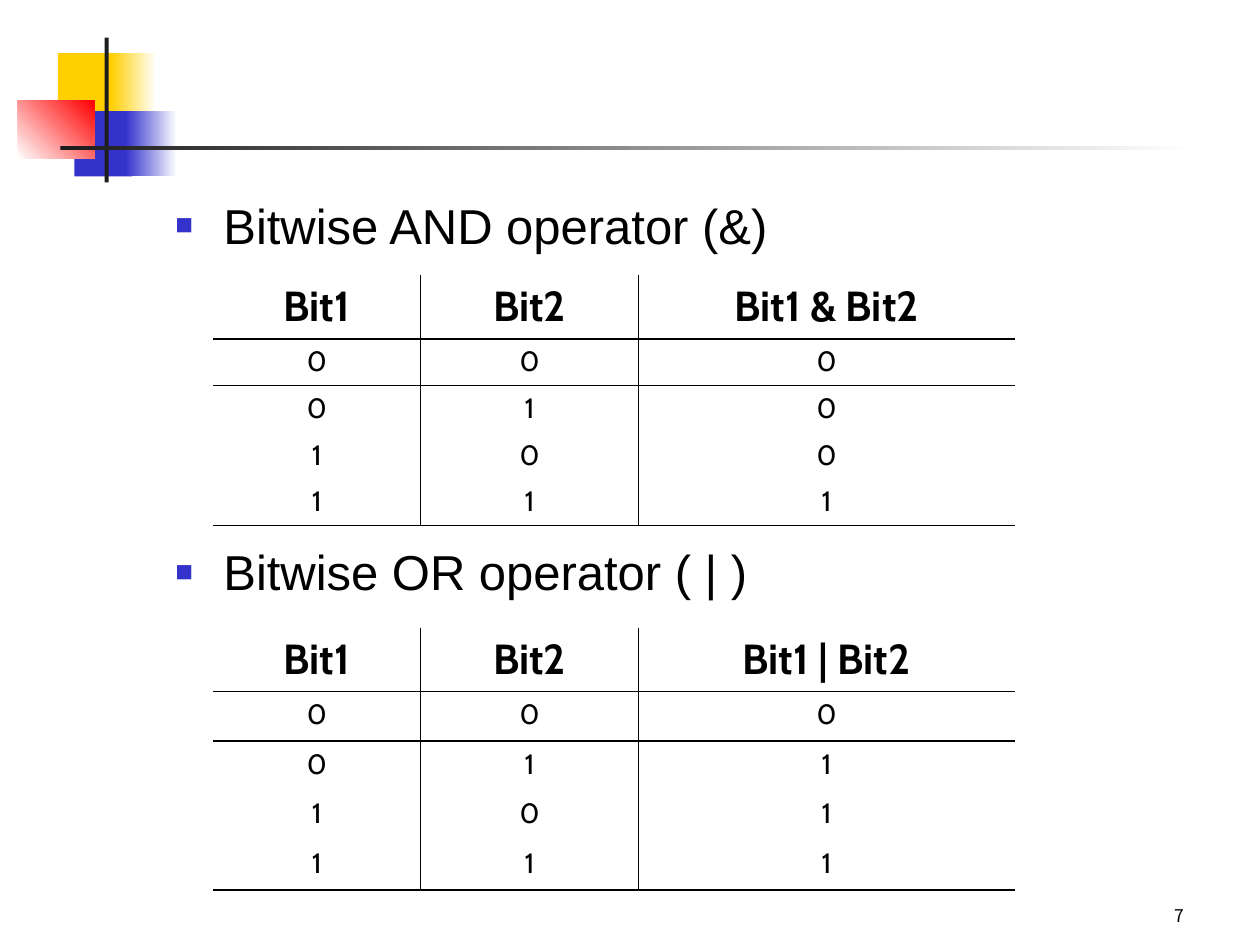
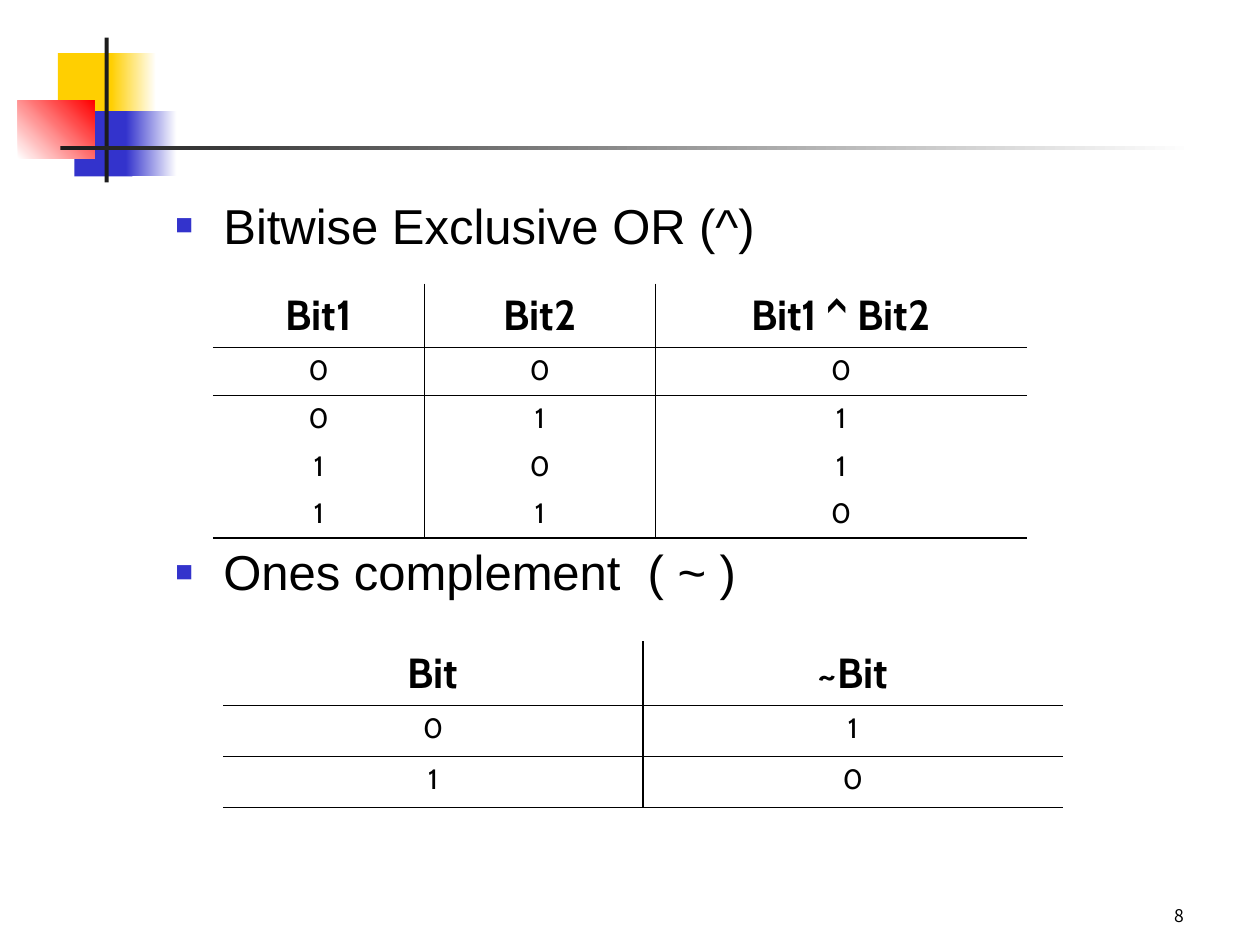
from dataclasses import dataclass
from itertools import product

from lxml import etree
from pptx import Presentation
from pptx.dml.color import RGBColor
from pptx.enum.shapes import MSO_SHAPE
from pptx.enum.text import MSO_ANCHOR, MSO_AUTO_SIZE, PP_ALIGN
from pptx.oxml.ns import qn
from pptx.util import Cm, Pt

RECTANGLE = MSO_SHAPE.RECTANGLE
TOP, BOTTOM = MSO_ANCHOR.TOP, MSO_ANCHOR.BOTTOM
CENTER, RIGHT = PP_ALIGN.CENTER, PP_ALIGN.RIGHT
NO_AUTOFIT = MSO_AUTO_SIZE.NONE
CONTENT_LAYOUT = 1
PLAIN_TABLE_STYLE = "{2D5ABB26-0587-4C30-8999-92F81FD0307C}"


@dataclass(frozen=True)
class Theme:
    ink: str = "000000"
    paper: str = "FFFFFF"
    yellow: str = "FFCF01"
    blue: str = "3333CC"
    red: str = "FF0000"
    bar: str = "1C1C1C"
    heading_font: str = "Arial"
    table_font: str = "Cabin"
    number_font: str = "Noto Sans CJK KR"
    heading_size: int = 28
    header_size: int = 24
    bit_size: int = 16
    number_size: int = 10
    border_width: int = 1


THEME = Theme()

# Corner motif: box in cm, start colour, end colour of a fade, fade angle
MOTIF = [
    ((1.17, 1.07, 1.22, 1.32), THEME.yellow, None, 0),
    ((2.24, 1.07, 0.91, 1.32), THEME.yellow, THEME.paper, 0),
    ((1.5, 2.24, 1.17, 1.32), THEME.blue, None, 0),
    ((2.54, 2.24, 1.02, 1.32), THEME.blue, THEME.paper, 0),
    ((0.36, 2.03, 1.55, 1.17), THEME.paper, THEME.red, 45),
    ((2.11, 0.76, 0.08, 2.92), THEME.bar, None, 0),
    ((1.22, 2.95, 22.86, 0.08), THEME.bar, THEME.paper, 0),
]
HEADINGS_BOX = (3.28, 3.81, 21.59, 13.79)
NUMBER_BOX = (18.85, 17.93, 5.28, 0.86)
HEADING_INDENT = 0.97
HEADING_GAP = 164.4
HEADER_HEIGHT = 1.29


def truth_rows(operation, inputs=2):
    """Every combination of input bits, followed by the result."""
    return [(*bits, operation(*bits)) for bits in product((0, 1), repeat=inputs)]


def assign(target, values):
    for attribute, value in values.items():
        setattr(target, attribute, value)


def add_xml(parent, tag, **attributes):
    return etree.SubElement(parent, qn(tag), attributes)


class Deck:
    def __init__(self, theme):
        self.theme = theme
        self.prs = Presentation()
        assign(self.prs, {"slide_width": Cm(25.4), "slide_height": Cm(19.05)})
        self.slide = None

    def new_slide(self, number):
        self.slide = self.prs.slides.add_slide(self.prs.slide_layouts[CONTENT_LAYOUT])
        unused_title = self.slide.shapes.title.element
        unused_title.getparent().remove(unused_title)
        for box, start, end, angle in MOTIF:
            self.block(box, start, end, angle)
        self.page_number(number)

    def block(self, box, start, end, angle):
        block = self.slide.shapes.add_shape(RECTANGLE, *map(Cm, box))
        block.shadow.inherit = False
        block.line.fill.background()
        if end is None:
            block.fill.solid()
            block.fill.fore_color.rgb = RGBColor.from_string(start)
            return
        block.fill.gradient()
        block.fill.gradient_angle = angle
        for stop, color in zip(block.fill.gradient_stops, (start, end)):
            stop.color.rgb = RGBColor.from_string(color)

    def put_text(self, paragraph, text, font, size, bold=False, **layout):
        assign(paragraph, layout)
        run = paragraph.add_run()
        run.text = text
        assign(run.font, {"name": font, "size": Pt(size), "bold": bold})
        run.font.color.rgb = RGBColor.from_string(self.theme.ink)

    def page_number(self, number):
        box = self.slide.shapes.add_textbox(*map(Cm, NUMBER_BOX))
        assign(box.text_frame, {"word_wrap": True, "vertical_anchor": BOTTOM})
        self.put_text(box.text_frame.paragraphs[0], str(number), self.theme.number_font,
                      self.theme.number_size, alignment=RIGHT)

    def headings(self, texts):
        body = self.slide.placeholders[1]
        left, top, width, height = map(Cm, HEADINGS_BOX)
        assign(body, {"left": left, "top": top, "width": width, "height": height})
        frame = body.text_frame
        assign(frame, {"auto_size": NO_AUTOFIT, "word_wrap": True, "vertical_anchor": TOP})
        for index, text in enumerate(texts):
            paragraph = frame.add_paragraph() if index else frame.paragraphs[0]
            self.put_text(paragraph, text, self.theme.heading_font, self.theme.heading_size,
                          space_before=Pt(HEADING_GAP if index else 0))
            self.bullet(paragraph)

    def bullet(self, paragraph):
        properties = paragraph._p.get_or_add_pPr()
        properties.set("marL", str(Cm(HEADING_INDENT)))
        properties.set("indent", str(-Cm(HEADING_INDENT)))
        add_xml(add_xml(properties, "a:buClr"), "a:srgbClr", val=self.theme.blue)
        add_xml(properties, "a:buSzPct", val="60000")
        add_xml(properties, "a:buFont", typeface=self.theme.heading_font)
        add_xml(properties, "a:buChar", char="■")

    def truth_table(self, left, top, widths, row_height, header, bit_rows):
        rows = [header, *bit_rows]
        heights = [HEADER_HEIGHT] + [row_height] * len(bit_rows)
        table = self.slide.shapes.add_table(
            len(rows), len(widths), Cm(left), Cm(top), Cm(sum(widths)), Cm(sum(heights))
        ).table
        assign(table, {"first_row": False, "horz_banding": False})
        table._tbl.tblPr.find(qn("a:tableStyleId")).text = PLAIN_TABLE_STYLE
        for column, width in zip(table.columns, widths):
            column.width = Cm(width)
        for row, height in zip(table.rows, heights):
            row.height = Cm(height)

        last_row, last_column = len(rows) - 1, len(widths) - 1
        for r, values in enumerate(rows):
            for c, value in enumerate(values):
                cell = table.cell(r, c)
                size = self.theme.bit_size if r else self.theme.header_size
                self.put_text(cell.text_frame.paragraphs[0], str(value),
                              self.theme.table_font, size, bold=r == 0, alignment=CENTER)
                # Lines between columns, below the header and below the last row
                self.borders(cell, {"a:lnL": c > 0, "a:lnR": c < last_column,
                                    "a:lnT": r == 1, "a:lnB": r in (0, last_row)})
                cell.fill.background()

    def borders(self, cell, sides):
        properties = cell._tc.get_or_add_tcPr()
        for side, drawn in sides.items():
            if drawn:
                line = add_xml(properties, side, w=str(Pt(self.theme.border_width)))
                add_xml(add_xml(line, "a:solidFill"), "a:srgbClr", val=self.theme.ink)


def main():
    deck = Deck(THEME)

    # AND and OR
    and_or_widths = (4.19, 4.39, 7.59)
    deck.new_slide(7)
    deck.headings(["Bitwise AND operator (&)", "Bitwise OR operator ( | )"])
    deck.truth_table(4.29, 5.54, and_or_widths, 0.94,
                     ("Bit1", "Bit2", "Bit1 & Bit2"), truth_rows(lambda a, b: a & b))
    deck.truth_table(4.29, 12.65, and_or_widths, 1.0,
                     ("Bit1", "Bit2", "Bit1 | Bit2"), truth_rows(lambda a, b: a | b))

    # Exclusive OR and complement
    deck.new_slide(8)
    deck.headings(["Bitwise Exclusive OR (^)", "Ones complement  ( ~ )"])
    deck.truth_table(4.29, 5.72, (4.27, 4.65, 7.49), 0.96,
                     ("Bit1", "Bit2", "Bit1 ^ Bit2"), truth_rows(lambda a, b: a ^ b))
    deck.truth_table(4.5, 12.93, (8.46, 8.46), 1.03,
                     ("Bit", "~Bit"), truth_rows(lambda a: 1 - a, inputs=1))

    deck.prs.save("out.pptx")


if __name__ == "__main__":
    main()
